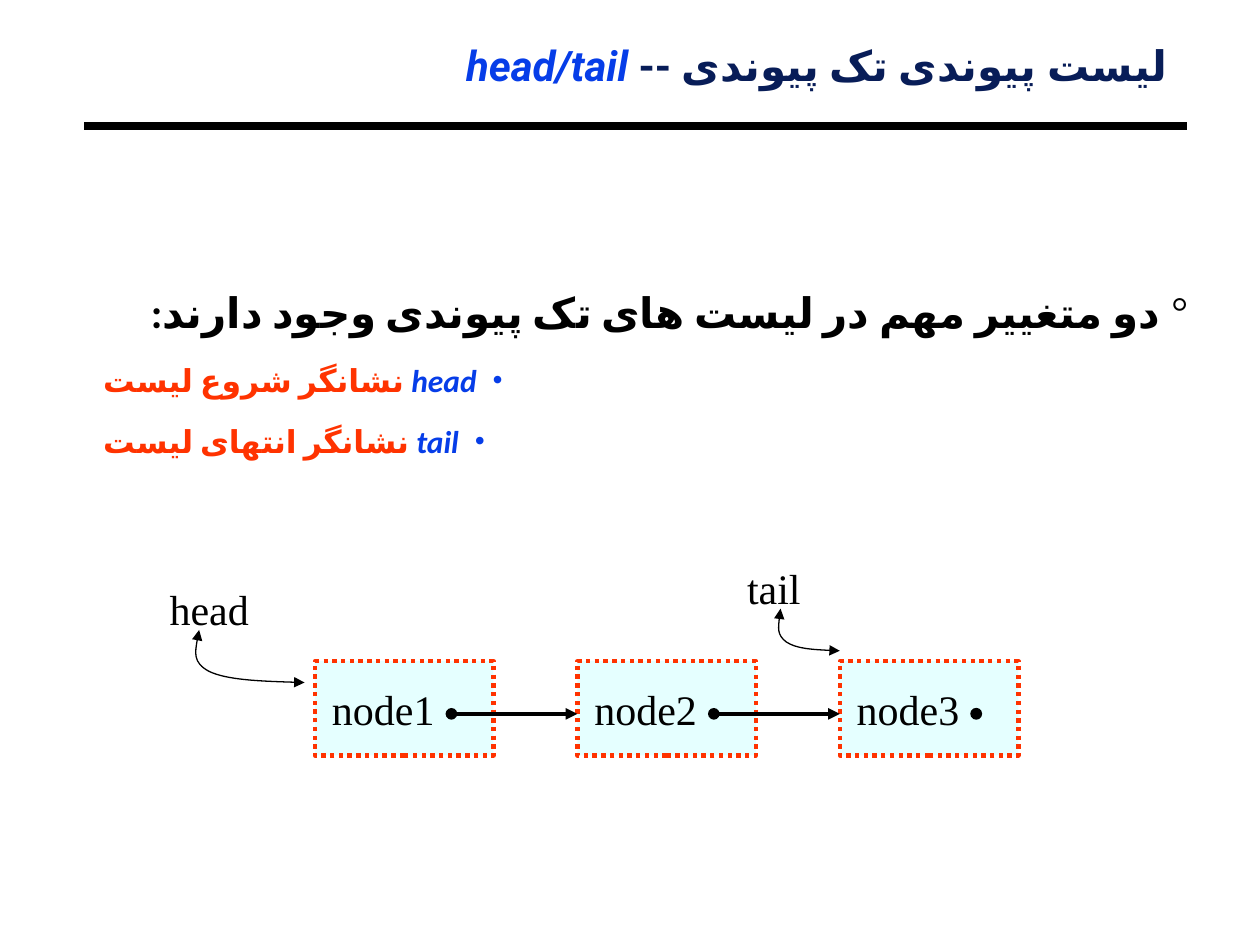
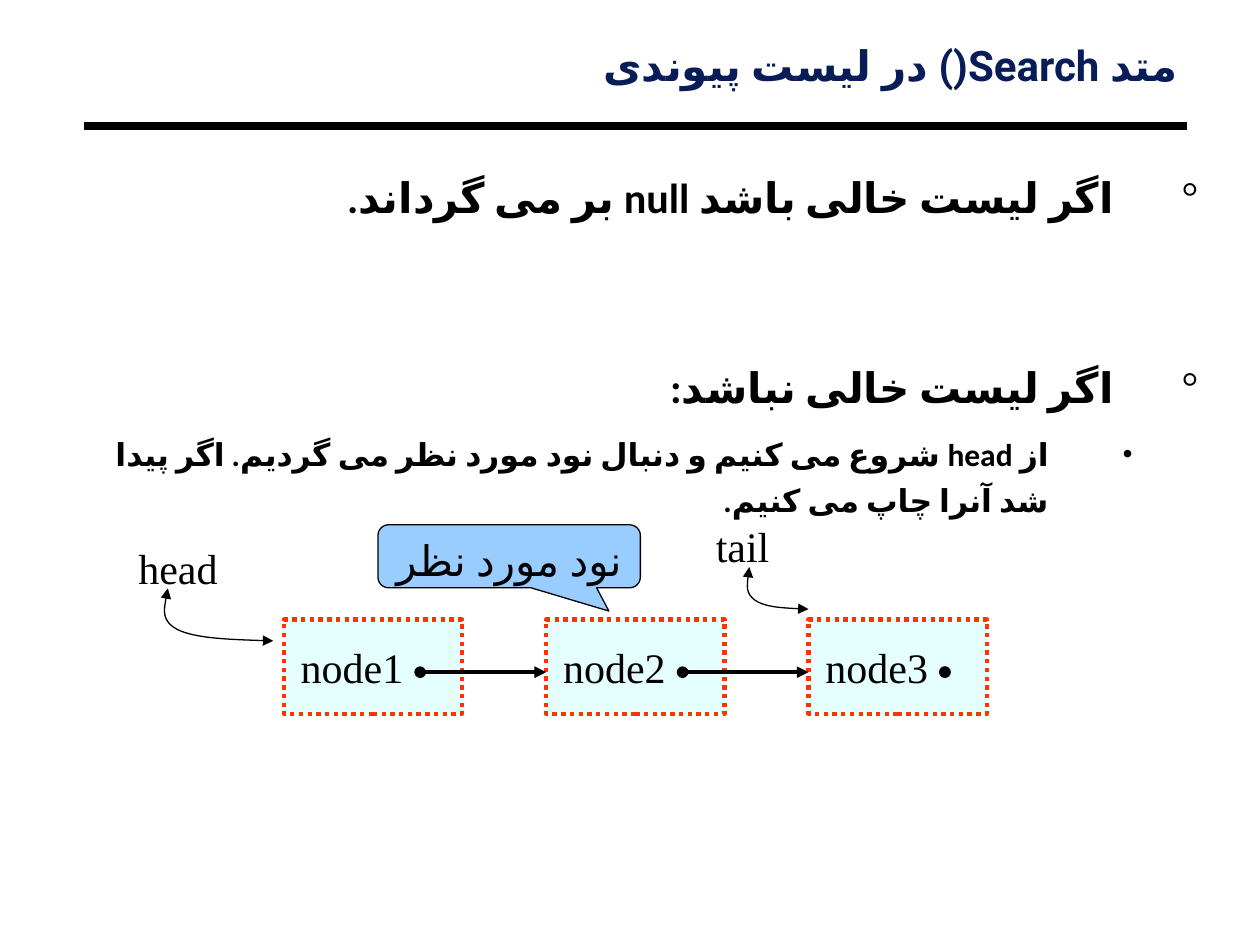
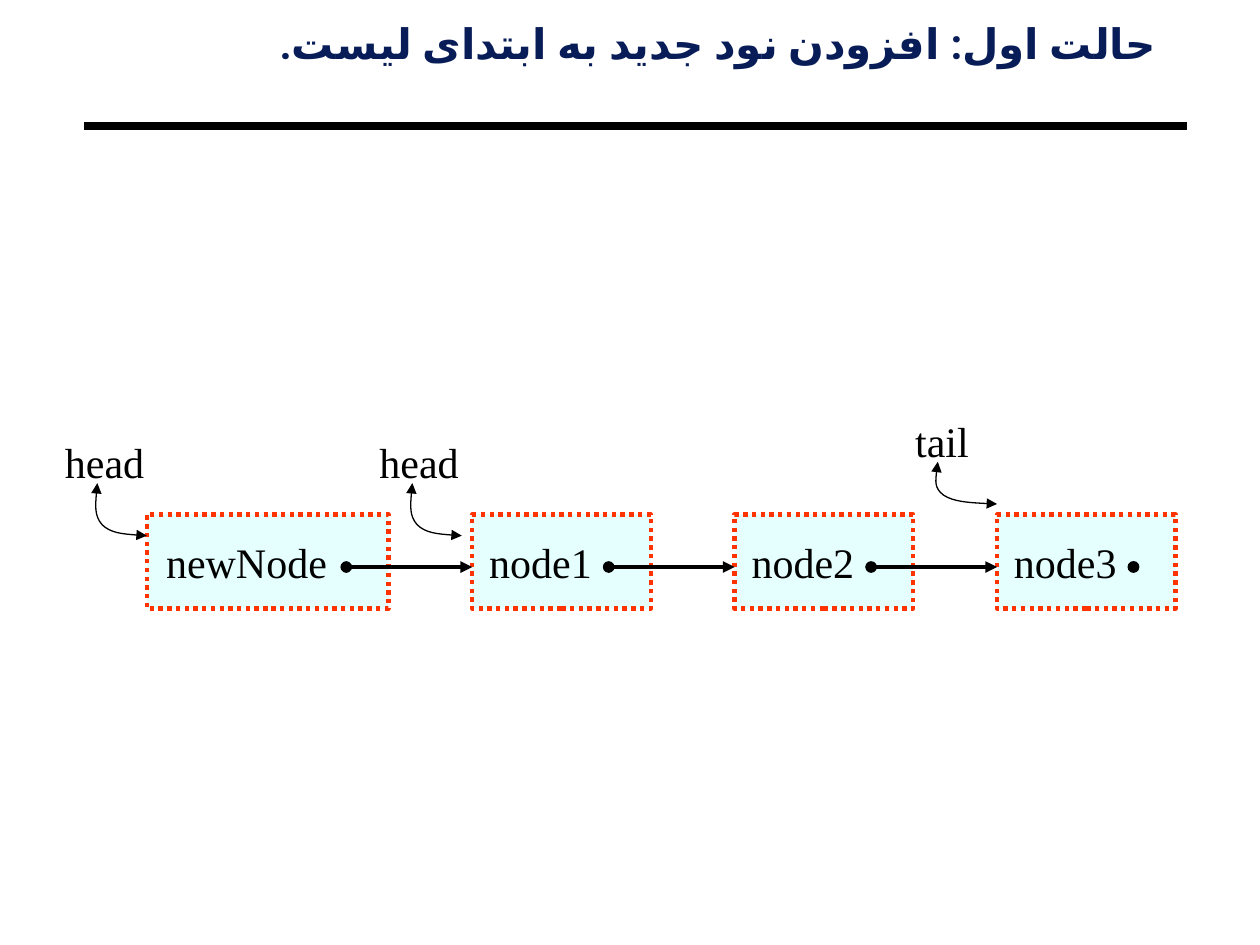
from typing import NamedTuple

from lxml.etree import SubElement
from pptx import Presentation
from pptx.dml.color import RGBColor
from pptx.enum.dml import MSO_LINE
from pptx.enum.shapes import MSO_CONNECTOR, MSO_SHAPE
from pptx.enum.text import MSO_ANCHOR, PP_ALIGN
from pptx.oxml.ns import qn
from pptx.util import Cm, Pt

BLACK = RGBColor(0x00, 0x00, 0x00)
WHITE = RGBColor(0xFF, 0xFF, 0xFF)
NAVY = RGBColor(0x08, 0x1D, 0x58)
BLUE = RGBColor(0x06, 0x3D, 0xE8)
RED = RGBColor(0xFF, 0x33, 0x00)
PALE_CYAN = RGBColor(0xCC, 0xFF, 0xFF)
SKY = RGBColor(0x99, 0xCC, 0xFF)

TITLE_FONT = "Roboto"
BODY_FONT = "Calibri"
DIAGRAM_FONT = "Times New Roman"
BIG, SMALL = 24, 18

# Diagram measures, in centimetres
NODE_WIDTH, NEW_NODE_WIDTH, NODE_HEIGHT = 3.6, 4.87, 1.9
NODE_GAP = 1.69
LINK_INSET = 0.85  # from the right edge of a node to the dot of its link
LINK_DROP = 1.06  # from the top of a node to its link
DOT_SIZE = 0.24
INSET = 0.25

# A curve as shares of its box: the start, then two cubic segments
CURVE = [(0.06, 0), (0.03, 0.31), (0, 0.62), (0.15, 0.79), (0.31, 0.95), (0.65, 0.98), (1, 1)]


class Pointer(NamedTuple):
    """A label and its curved arrow, placed from the top left of a node."""
    text: str
    node: int
    label_left: float
    label_top: float
    arrow_left: float
    arrow_width: float
    arrow_height: float


def head_pointer(node, label_left=-3.18, arrow_left=-2.47, arrow_width=2.26):
    return Pointer("head", node, label_left, -1.69, arrow_left, arrow_width, 1.06)


def tail_pointer(node, label_left=-2.12):
    return Pointer("tail", node, label_left, -2.12, -1.27, 1.27, 0.85)


def box_in_cm(*lengths):
    return [Cm(length) for length in lengths]


def style_run(run, font, size, color, bold=False, italic=False):
    """Use one font for both the Latin and the Persian letters."""
    run.font.name = font
    run.font.size = Pt(size)
    run.font.color.rgb = color
    run.font.bold = bold
    run.font.italic = italic
    properties = run._r.get_or_add_rPr()
    properties.set("lang", "fa-IR")
    SubElement(properties, qn("a:cs")).set("typeface", font)


def style_line(shape, color, width, head=None, tail=None):
    shape.line.color.rgb = color
    shape.line.width = Pt(width)
    ln = shape.element.spPr.get_or_add_ln()
    for tag, kind in (("a:headEnd", head), ("a:tailEnd", tail)):
        if kind:
            SubElement(ln, qn(tag)).set("type", kind)


def add_line(slide, start, end, width, head=None, tail=None):
    line = slide.shapes.add_connector(MSO_CONNECTOR.STRAIGHT, *box_in_cm(*start, *end))
    style_line(line, BLACK, width, head, tail)
    SubElement(line.element.spPr, qn("a:effectLst"))


def add_dot(slide, x, y):
    dot = slide.shapes.add_shape(MSO_SHAPE.OVAL, *box_in_cm(
        x - DOT_SIZE / 2, y - DOT_SIZE / 2, DOT_SIZE, DOT_SIZE))
    dot.shadow.inherit = False
    dot.fill.solid()
    dot.fill.fore_color.rgb = BLACK
    dot.line.fill.background()


def add_text_frame(slide, box, side=INSET, edge=0.13):
    text_frame = slide.shapes.add_textbox(*box_in_cm(*box)).text_frame
    text_frame.word_wrap = True
    text_frame.margin_left = text_frame.margin_right = Cm(side)
    text_frame.margin_top = text_frame.margin_bottom = Cm(edge)
    return text_frame


def set_right_to_left(paragraph, line_spacing, alignment=PP_ALIGN.RIGHT):
    paragraph.alignment = alignment
    paragraph.line_spacing = line_spacing
    properties = paragraph._p.get_or_add_pPr()
    properties.set("rtl", "1")
    return properties


def add_bullet(properties, bullet, color, margin, hang):
    properties.set("marL", str(Cm(margin)))
    properties.set("indent", str(-Cm(hang)))
    bullet_color = SubElement(properties, qn("a:buClr"))
    SubElement(bullet_color, qn("a:srgbClr")).set("val", str(color))
    SubElement(properties, qn("a:buFont")).set("typeface", DIAGRAM_FONT)
    SubElement(properties, qn("a:buChar")).set("char", bullet)


def add_titled_slide(presentation, box, title, accent=None):
    slide = presentation.slides.add_slide(presentation.slide_layouts[6])
    slide.background.fill.solid()
    slide.background.fill.fore_color.rgb = WHITE
    add_line(slide, (1.7, 2.54), (23.92, 2.54), 4.5)
    paragraph = add_text_frame(slide, box, 0.18, 0.08).paragraphs[0]
    paragraph.text = title
    set_right_to_left(paragraph, 0.87)
    style_run(paragraph.runs[0], TITLE_FONT, BIG, NAVY, bold=True)
    if accent:
        run = paragraph.add_run()
        run.text = accent
        style_run(run, TITLE_FONT, BIG, BLUE, bold=True, italic=True)
    return slide


def add_point(paragraph, text, margin, hang, space_before=19.5):
    paragraph.text = text
    paragraph.space_before = Pt(space_before)
    add_bullet(set_right_to_left(paragraph, 1.2), "°", BLACK, margin, hang)
    style_run(paragraph.runs[0], BODY_FONT, BIG, BLACK, bold=True)


def add_subpoint(paragraph, runs, margin, hang, bullet_color, alignment):
    """runs holds (text, colour, italic) triples."""
    paragraph.level = 1
    paragraph.space_before = Pt(9)
    properties = set_right_to_left(paragraph, 1.2, alignment)
    add_bullet(properties, "•", bullet_color, margin, hang)
    for text, color, italic in runs:
        run = paragraph.add_run()
        run.text = text
        style_run(run, BODY_FONT, SMALL, color, bold=True, italic=italic)


def add_node(slide, text, left, top, width):
    node = slide.shapes.add_shape(
        MSO_SHAPE.RECTANGLE, *box_in_cm(left, top, width, NODE_HEIGHT))
    node.shadow.inherit = False
    node.fill.solid()
    node.fill.fore_color.rgb = PALE_CYAN
    color = node.element.spPr.find(qn("a:solidFill"))[0]
    SubElement(color, qn("a:alpha")).set("val", "50000")
    style_line(node, RED, 2.5)
    node.line.dash_style = MSO_LINE.ROUND_DOT
    text_frame = node.text_frame
    text_frame.text = text
    text_frame.word_wrap = False
    text_frame.vertical_anchor = MSO_ANCHOR.MIDDLE
    text_frame.margin_right = Cm(INSET + LINK_INSET)
    text_frame.paragraphs[0].alignment = PP_ALIGN.CENTER
    style_run(text_frame.paragraphs[0].runs[0], DIAGRAM_FONT, BIG, BLACK)


def add_curved_arrow(slide, left, top, width, height):
    points = [(Cm(left + x * width), Cm(top + y * height)) for x, y in CURVE]
    builder = slide.shapes.build_freeform(*points[0])
    builder.add_line_segments(points[1:], close=False)
    arrow = builder.convert_to_shape()
    outline = arrow.element.spPr.find(".//" + qn("a:path"))
    segments = outline.findall(qn("a:lnTo"))
    for first in range(0, len(segments), 3):
        curve = SubElement(outline, qn("a:cubicBezTo"))
        for segment in segments[first:first + 3]:
            curve.append(segment[0])
            outline.remove(segment)
    arrow.shadow.inherit = False
    arrow.fill.background()
    style_line(arrow, BLACK, 0.75, "triangle", "triangle")


def add_pointer(slide, pointer, left, top):
    label_top = top + pointer.label_top
    text_frame = add_text_frame(slide, (left + pointer.label_left, label_top, 2.96, 1.27))
    text_frame.text = pointer.text
    style_run(text_frame.paragraphs[0].runs[0], DIAGRAM_FONT, BIG, BLACK)
    add_curved_arrow(slide, left + pointer.arrow_left, label_top + 1.06,
                     pointer.arrow_width, pointer.arrow_height)


def add_linked_list(slide, left, top, pointers, new_node=False):
    """Draw the nodes from left to right; the last one links to nothing."""
    nodes = [(f"node{number}", NODE_WIDTH) for number in (1, 2, 3)]
    if new_node:
        nodes.insert(0, ("newNode", NEW_NODE_WIDTH))
    lefts = []
    for text, width in nodes:
        lefts.append(left)
        add_node(slide, text, left, top, width)
        left += width + NODE_GAP
    link_y = top + LINK_DROP
    for index, (node_left, (_, width)) in enumerate(zip(lefts, nodes)):
        link_x = node_left + width - LINK_INSET
        if index + 1 < len(nodes):
            add_line(slide, (link_x, link_y), (lefts[index + 1], link_y), 2.25,
                     "oval", "triangle")
        else:
            add_dot(slide, link_x, link_y)
    for pointer in pointers:
        add_pointer(slide, pointer, lefts[pointer.node], top)


def add_callout(slide, text, box):
    callout = slide.shapes.add_shape(MSO_SHAPE.ROUNDED_RECTANGULAR_CALLOUT, *box_in_cm(*box))
    for index, value in enumerate((0.38, 0.87, 0.17)):
        callout.adjustments[index] = value
    callout.shadow.inherit = False
    callout.fill.solid()
    callout.fill.fore_color.rgb = SKY
    style_line(callout, BLACK, 0.75)
    callout.text_frame.text = text
    callout.text_frame.vertical_anchor = MSO_ANCHOR.TOP
    paragraph = callout.text_frame.paragraphs[0]
    paragraph.alignment = PP_ALIGN.CENTER
    style_run(paragraph.runs[0], TITLE_FONT, BIG, BLACK)


def build_head_tail_slide(presentation):
    slide = add_titled_slide(presentation, (1.7, 0.86, 22.02, 1.06),
                             "لیست پیوندی تک پیوندی -- ", "head/tail")
    body = add_text_frame(slide, (1.9, 5.5, 22.23, 5.05), 0.18, 0.08)
    add_point(body.paragraphs[0], "دو متغییر مهم در لیست های تک پیوندی وجود دارند:", 0.56, 0.56)
    for name, meaning in (("head", "نشانگر شروع لیست"), ("tail", "نشانگر انتهای لیست")):
        runs = [(name + " ", BLUE, True), (meaning, RED, False)]
        add_subpoint(body.add_paragraph(), runs, 1.9, 0.53, BLUE, PP_ALIGN.LEFT)
    add_linked_list(slide, 6.35, 13.33, [head_pointer(0), tail_pointer(2)])


def build_search_slide(presentation):
    slide = add_titled_slide(presentation, (1.9, 0.85, 22.02, 1.48),
                             "متد Search() در لیست پیوندی")
    body = add_text_frame(slide, (1.06, 3.18, 23.28, 9.22), 0.18, 0.08)
    add_point(body.paragraphs[0], "اگر لیست خالی باشد null بر می گرداند.", 1.7, 1.7)
    add_point(body.add_paragraph(), "اگر لیست خالی نباشد:", 1.7, 1.7, space_before=74)
    step = "از head شروع می کنیم و دنبال نود مورد نظر می گردیم. اگر پیدا شد آنرا چاپ می کنیم."
    add_subpoint(body.add_paragraph(), [(step, BLACK, False)], 3.02, 1.7, BLACK, PP_ALIGN.RIGHT)
    add_linked_list(slide, 5.72, 12.49, [head_pointer(0), tail_pointer(2)])
    add_callout(slide, "نود مورد نظر", (7.62, 10.58, 5.29, 1.27))


def build_insert_first_slide(presentation):
    slide = add_titled_slide(presentation, (1.9, 0.42, 21.59, 1.06),
                             "حالت اول: افزودن نود جدید به ابتدای لیست.")
    pointers = [head_pointer(0, -1.9, -1.06, 1.06), head_pointer(1, -2.12, -1.27, 1.06),
                tail_pointer(3, -1.9)]
    add_linked_list(slide, 2.96, 10.37, pointers, new_node=True)


def main():
    presentation = Presentation()
    presentation.slide_width = Cm(25.4)
    presentation.slide_height = Cm(19.05)
    build_head_tail_slide(presentation)
    build_search_slide(presentation)
    build_insert_first_slide(presentation)
    presentation.save("out.pptx")


if __name__ == "__main__":
    main()
